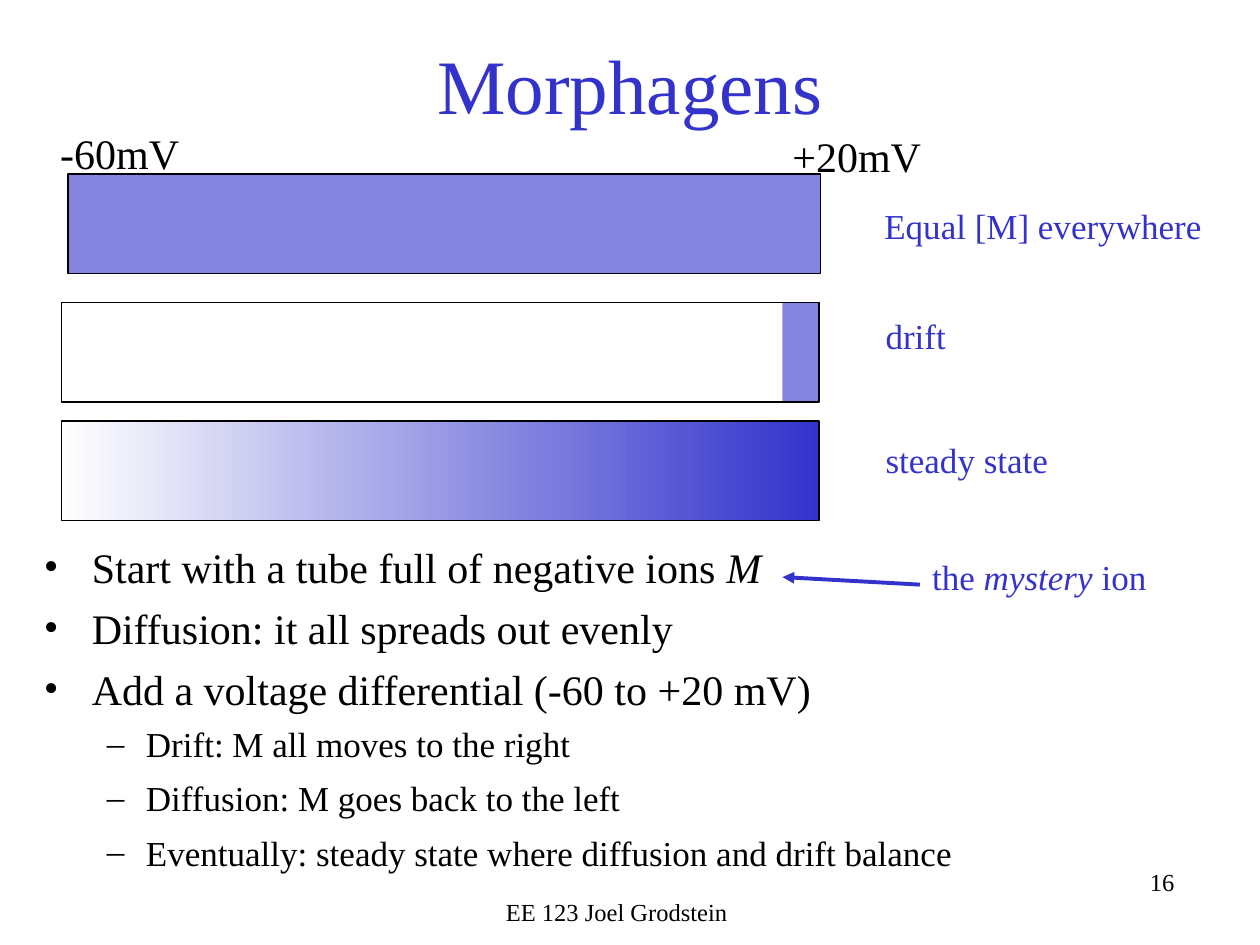
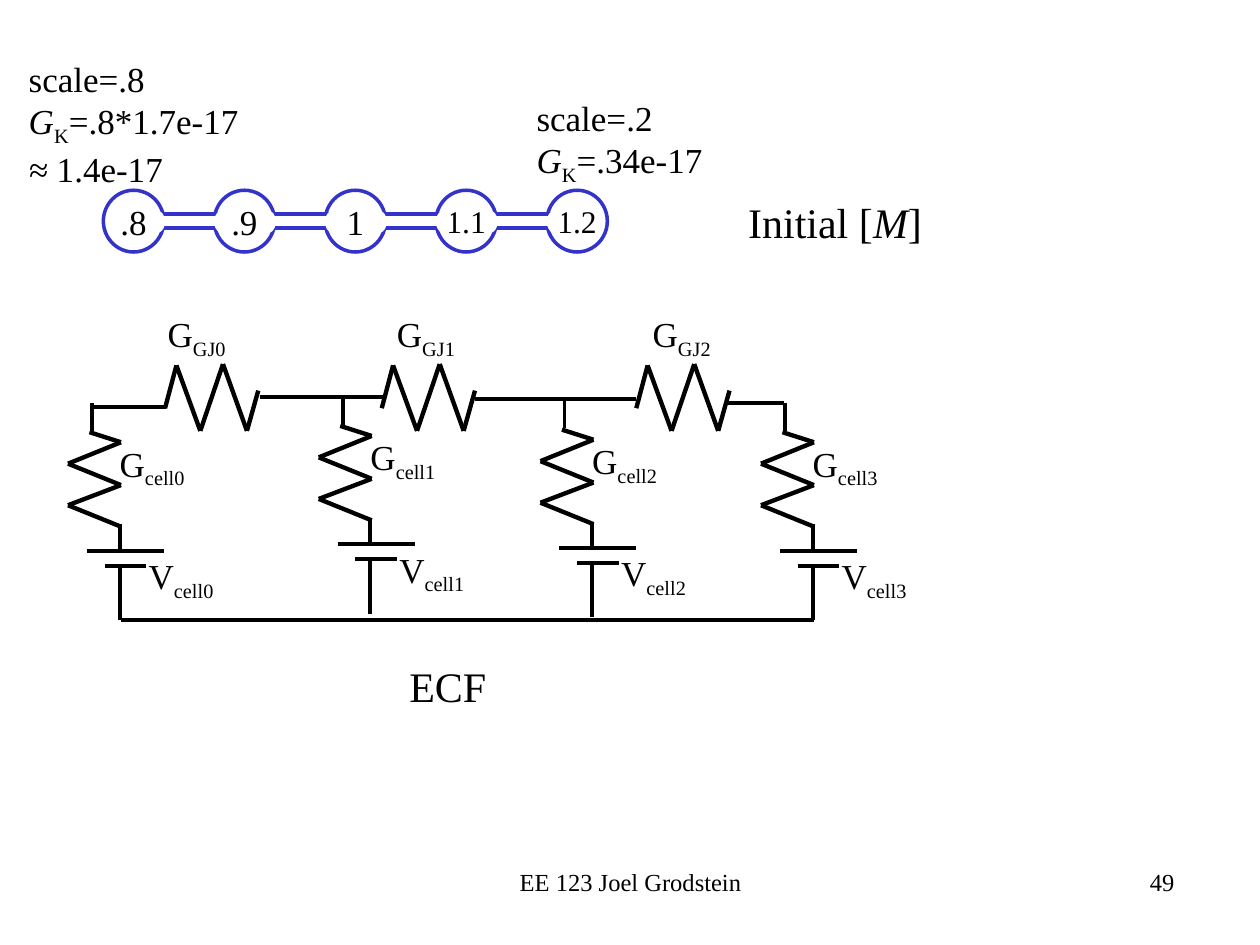
from lxml import etree
from pptx import Presentation
from pptx.dml.color import RGBColor
from pptx.enum.shapes import MSO_CONNECTOR as CONN, MSO_SHAPE as SHAPE
from pptx.enum.text import MSO_ANCHOR as ANCHOR, PP_ALIGN as ALIGN
from pptx.oxml.ns import qn
from pptx.util import Inches, Pt

FONT = "Times New Roman"
BLACK, WHITE, BLUE, LILAC = "000000", "FFFFFF", "3333CC", "8585E0"


def rgb(hex_color):
    return RGBColor.from_string(hex_color)


class Deck:
    """Shared style plus the slide being drawn."""

    def __init__(self):
        self.prs = Presentation()
        self.prs.slide_width, self.prs.slide_height = Inches(10), Inches(7.5)
        self.slide = None

    def new_slide(self, number, footer_x, footer_y):
        self.slide = self.prs.slides.add_slide(self.prs.slide_layouts[6])
        self.text(6.25, 6.83, 3.17, 0.5, [number], 14, align=ALIGN.RIGHT)
        self.text(footer_x, footer_y, 3.17, 0.34, ["EE 123 Joel Grodstein"],
                  14, align=ALIGN.CENTER)

    def title(self, words):
        self.text(0.75, 0.28, 8.5, 0.77, [words], 44, BLUE, ALIGN.CENTER,
                  ANCHOR.MIDDLE)

    def runs(self, p, parts, size, color):
        """Parts are a string, or (string, style) pairs: i italic, sub subscript."""
        for part in [(parts, "")] if isinstance(parts, str) else parts:
            words, style = part
            r = p.add_run()
            r.text = words
            r.font.name, r.font.size = FONT, Pt(size)
            r.font.color.rgb = rgb(color)
            r.font.italic = style == "i"
            if style == "sub":
                r.font._element.set("baseline", "-25000")

    def fill_frame(self, tf, paragraphs, size, color, align, anchor, inset):
        tf.word_wrap = True
        tf.vertical_anchor = anchor
        if not inset:
            tf.margin_left = tf.margin_right = tf.margin_top = tf.margin_bottom = 0
        for i, parts in enumerate(paragraphs):
            p = tf.add_paragraph() if i else tf.paragraphs[0]
            p.alignment = align
            self.runs(p, parts, size, color)

    def text(self, x, y, w, h, paragraphs, size=20, color=BLACK,
             align=ALIGN.LEFT, anchor=ANCHOR.TOP, inset=True):
        box = self.slide.shapes.add_textbox(Inches(x), Inches(y), Inches(w), Inches(h))
        self.fill_frame(box.text_frame, paragraphs, size, color, align, anchor, inset)

    def label(self, x, y, letter, sub):
        self.text(x, y, 0.6, 0.34, [[(letter, ""), (sub, "sub")]], inset=False)

    def bullets(self, x, y, w, h, items):
        """Items are (level, space before in points, parts)."""
        tf = self.slide.shapes.add_textbox(
            Inches(x), Inches(y), Inches(w), Inches(h)).text_frame
        tf.word_wrap = True
        styles = [("•", 0.38, 0.38, 24), ("–", 0.81, 0.31, 20)]
        for i, (level, before, parts) in enumerate(items):
            mark, margin, hang, size = styles[level]
            p = tf.add_paragraph() if i else tf.paragraphs[0]
            p.level = level
            p.space_before = Pt(before)
            pPr = p._p.get_or_add_pPr()
            pPr.set("marL", str(Inches(margin)))
            pPr.set("indent", str(-Inches(hang)))
            etree.SubElement(pPr, qn("a:buFont")).set("typeface", FONT)
            etree.SubElement(pPr, qn("a:buChar")).set("char", mark)
            self.runs(p, parts, size, BLACK)

    def shape(self, kind, x, y, w, h, fill=None, line=None, width=0.75,
              words=None, size=20):
        sp = self.slide.shapes.add_shape(kind, Inches(x), Inches(y), Inches(w), Inches(h))
        sp.shadow.inherit = False
        if isinstance(fill, tuple):
            sp.fill.gradient()
            sp.fill.gradient_angle = 0
            for stop, color in zip(sp.fill.gradient_stops, fill):
                stop.color.rgb = rgb(color)
        elif fill:
            sp.fill.solid()
            sp.fill.fore_color.rgb = rgb(fill)
        else:
            sp.fill.background()
        if line:
            sp.line.color.rgb = rgb(line)
            sp.line.width = Pt(width)
        else:
            sp.line.fill.background()
        if words:
            self.fill_frame(sp.text_frame, [words], size, BLACK, ALIGN.CENTER,
                            ANCHOR.MIDDLE, False)

    def line(self, x1, y1, x2, y2, color=BLACK, width=2.25, arrow=False):
        c = self.slide.shapes.add_connector(
            CONN.STRAIGHT, Inches(x1), Inches(y1), Inches(x2), Inches(y2))
        c.line.color.rgb = rgb(color)
        c.line.width = Pt(width)
        if arrow:
            etree.SubElement(c.line._get_or_add_ln(), qn("a:tailEnd")).set(
                "type", "triangle")
        etree.SubElement(c._element.spPr, qn("a:effectLst"))

    def zigzag(self, points, dx, dy=0):
        for (x1, y1), (x2, y2) in zip(points, points[1:]):
            self.line(x1 + dx, y1 + dy, x2 + dx, y2 + dy, width=2.5)

    def cell(self, number, dx, dy):
        """One cell: a resistor above a battery, with its leads."""
        self.zigzag([(0.71, 3.43), (0.96, 3.51), (0.54, 3.68), (0.96, 3.85),
                     (0.54, 4.01), (0.96, 4.18)], dx, dy)
        for x1, y1, x2, y2 in [
                (0.73, 3.2, 0.73, 3.42), (0.95, 4.16, 0.95, 4.38),
                (0.69, 4.37, 1.3, 4.37), (0.83, 4.49, 1.16, 4.49),
                (0.95, 4.5, 0.95, 4.92)]:
            self.line(x1 + dx, y1 + dy, x2 + dx, y2 + dy)
        self.label(0.95 + dx, 3.51 + dy, "G", f"cell{number}")
        self.label(1.18 + dx, 4.4 + dy, "V", f"cell{number}")


def morphagens(deck):
    deck.new_slide("16", 3.31, 7.07)
    deck.title("Morphagens")

    # Tubes
    deck.shape(SHAPE.RECTANGLE, 0.54, 1.38, 5.97, 0.79, LILAC, BLACK)
    deck.shape(SHAPE.RECTANGLE, 6.21, 2.4, 0.29, 0.79, LILAC)
    deck.shape(SHAPE.RECTANGLE, 0.49, 2.4, 6.01, 0.79, None, BLACK)
    deck.shape(SHAPE.RECTANGLE, 0.49, 3.34, 6.01, 0.79, (WHITE, BLUE), BLACK)

    # Voltages and tube labels
    deck.text(0.38, 0.96, 1.36, 0.5, ["-60mV"], 24)
    deck.text(6.19, 0.99, 1.22, 0.5, ["+20mV"], 24)
    for x, y, words in [(6.92, 1.57, "Equal [M] everywhere"),
                        (6.93, 2.45, "drift"), (6.93, 3.43, "steady state")]:
        deck.text(x, y, 2.78, 0.44, [words], color=BLUE)

    # Explanation
    deck.bullets(0.25, 4.25, 9.62, 2.81, [
        (0, 0, [("Start with a tube full of negative ions ", ""), ("M", "i")]),
        (0, 6, "Diffusion: it all spreads out evenly"),
        (0, 6, "Add a voltage differential (-60 to +20 mV)"),
        (1, 5, "Drift: M all moves to the right"),
        (1, 7, "Diffusion: M goes back to the left"),
        (1, 7, "Eventually: steady state where diffusion and drift balance"),
    ])
    deck.text(7.3, 4.36, 1.9, 0.44,
              [[("the ", ""), ("mystery", "i"), (" ion", "")]], color=BLUE)
    deck.line(7.3, 4.64, 6.21, 4.58, BLUE, arrow=True)


def circuit(deck):
    deck.new_slide("49", 3.42, 6.83)

    # Row of cells
    cell_xs = [0.82 + 0.88 * i for i in range(5)]
    for x, words, size in zip(cell_xs, [".8", ".9", "1", "1.1", "1.2"],
                              [20, 20, 20, 18, 18]):
        deck.shape(SHAPE.OVAL, x, 1.51, 0.48, 0.49, None, BLUE, 2, words, size)

    # Gap junctions, opened into the cells at both ends
    for i, (left, right) in enumerate(zip(cell_xs, cell_xs[1:])):
        deck.shape(SHAPE.RECTANGLE, 1.23 + 0.89 * i, 1.7, 0.52, 0.11, WHITE, BLUE, 2)
        for x in (left + 0.36, right):
            deck.shape(SHAPE.OVAL, x, 1.67, 0.13, 0.18, WHITE)

    # Concentration and conductance notes
    deck.text(5.84, 1.51, 1.7, 0.5,
              [[("Initial [", ""), ("M", "i"), ("]", "")]], 24)
    g_k = [("G", "i"), ("K", "sub")]
    deck.text(0.13, 0.41, 1.96, 1.11, ["scale=.8", g_k + [("=.8*1.7e-17", "")],
                                       [("≈ ", "i"), ("1.4e-17", "")]])
    deck.text(4.16, 0.72, 1.62, 0.77, ["scale=.2", g_k + [("=.34e-17", "")]])

    # Cell branches
    for i, (dx, dy) in enumerate([(0, 0), (1.99, -0.05), (3.75, -0.02), (5.5, 0)]):
        deck.cell(i, dx, dy)

    # Gap-junction resistors
    junction = [(2.05, 3.1), (1.96, 3.42), (1.77, 2.89), (1.59, 3.42),
                (1.4, 2.9), (1.31, 3.24)]
    for i, (dx, label_x) in enumerate([(0, 1.33), (1.72, 3.15), (3.74, 5.18)]):
        deck.zigzag(junction, dx)
        deck.label(label_x, 2.48, "G", f"GJ{i}")

    # Wires
    for x1, x2, y in [(0.73, 1.32, 3.23), (2.06, 3.06, 3.15), (3.77, 5.05, 3.17),
                      (5.78, 6.22, 3.2), (0.96, 6.46, 4.92)]:
        deck.line(x1, y, x2, y)
    deck.text(3.15, 5.19, 0.87, 0.5, ["ECF"], 24)


def main():
    deck = Deck()
    morphagens(deck)
    circuit(deck)
    deck.prs.save("out.pptx")


if __name__ == "__main__":
    main()
